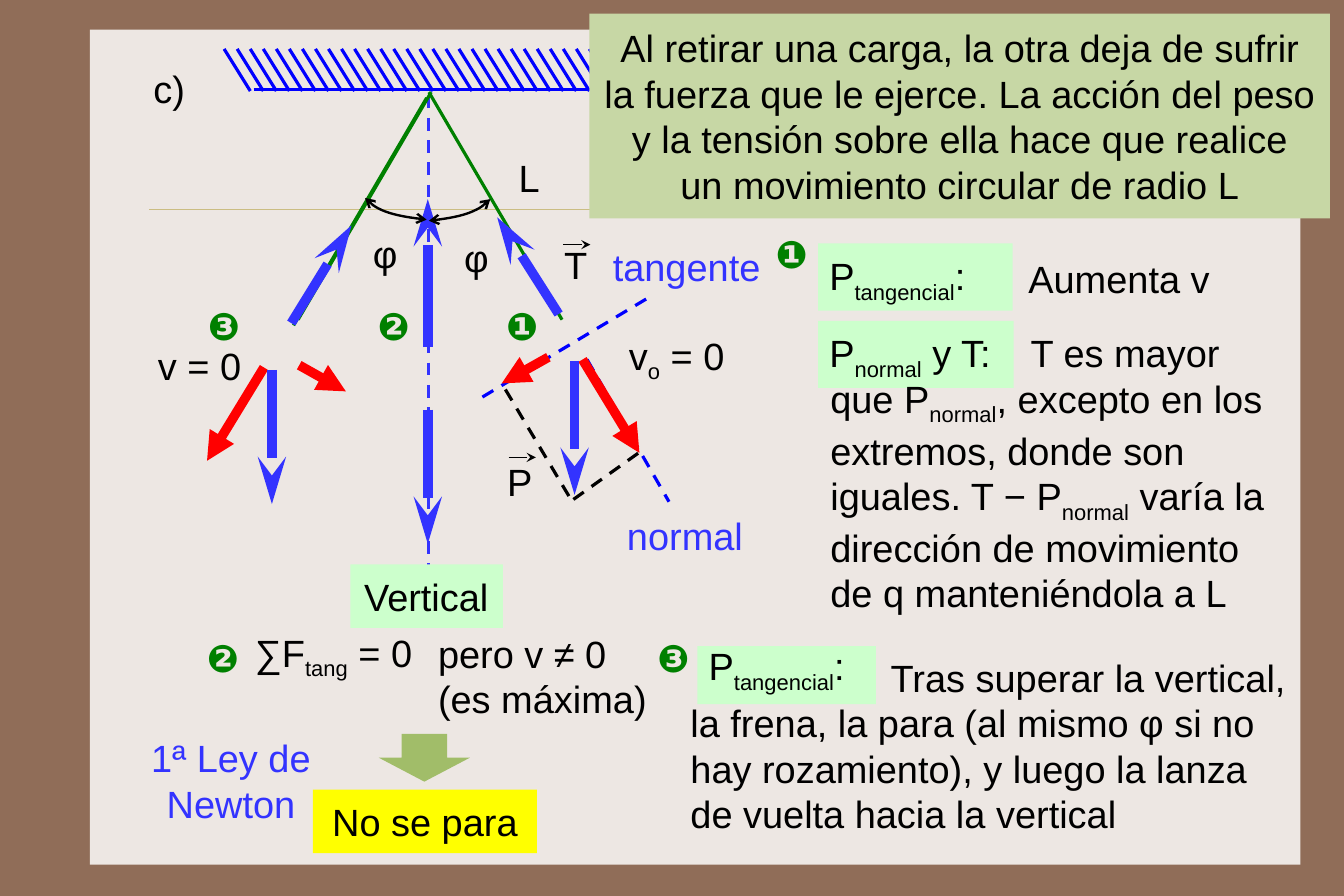
"""Build the slide on the motion of a charged pendulum."""
from dataclasses import dataclass, field
from typing import Any, Optional

from lxml.etree import SubElement
from pptx import Presentation
from pptx.dml.color import RGBColor
from pptx.enum.dml import MSO_LINE
from pptx.enum.shapes import MSO_CONNECTOR, MSO_SHAPE
from pptx.enum.text import MSO_ANCHOR, PP_ALIGN
from pptx.oxml.ns import qn
from pptx.util import Inches, Pt

Point = tuple[float, float]


@dataclass(frozen=True)
class Theme:
    background: str = "906D58"
    panel: str = "EDE7E3"
    rule: str = "CBBD83"
    ink: str = "000000"
    blue: str = "0000FF"
    vector: str = "3333FF"
    component: str = "FF0000"
    green: str = "008000"
    label: str = "CCFFCC"
    callout: str = "C7D7A5"
    highlight: str = "FFFF00"
    arrow: str = "A1BD69"
    font: str = "Arial"
    size: int = 24


THEME = Theme()


@dataclass(frozen=True)
class Segment:
    start: Point
    end: Point
    color: str
    width: float = 2
    dashed: bool = False
    head: Optional[str] = None
    head_length: str = "med"


@dataclass(frozen=True)
class Label:
    text: str
    left: float
    top: float
    width: float
    height: float = 0.5
    style: dict[str, Any] = field(default_factory=dict)


def force(start: Point, end: Point) -> Segment:
    """Describe a thick blue force vector."""
    return Segment(start, end, THEME.vector, 6, head="stealth", head_length="lg")


def component(start: Point, end: Point) -> Segment:
    """Describe a thick red component of the weight."""
    return Segment(start, end, THEME.component, 6, head="triangle")


def vector_mark(left: float, top: float) -> Segment:
    """Describe the small arrow over a vector's letter."""
    return Segment((left, top), (left + 0.24, top), THEME.ink, 1, head="stealth")


def number(text: str, left: float, top: float) -> Label:
    """Describe a green circled number."""
    return Label(text, left, top, 0.5, style={"color": THEME.green, "bold": True})


def add_segment(slide, segment: Segment) -> None:
    """Draw a straight line, dashed or with an arrowhead if asked."""
    ends = [Inches(value) for value in (*segment.start, *segment.end)]
    connector = slide.shapes.add_connector(MSO_CONNECTOR.STRAIGHT, *ends)
    connector.line.color.rgb = RGBColor.from_string(segment.color)
    connector.line.width = Pt(segment.width)
    if segment.dashed:
        connector.line.dash_style = MSO_LINE.DASH
    if segment.head:
        SubElement(connector.line._get_or_add_ln(), qn("a:tailEnd"),
                   type=segment.head, len=segment.head_length)
    SubElement(connector._element.spPr, qn("a:effectLst"))


def add_block(slide, preset: MSO_SHAPE, left: float, top: float, width: float,
              height: float, fill: str):
    """Draw a filled preset shape without outline or shadow."""
    shape = slide.shapes.add_shape(
        preset, Inches(left), Inches(top), Inches(width), Inches(height))
    shape.fill.solid()
    shape.fill.fore_color.rgb = RGBColor.from_string(fill)
    shape.line.fill.background()
    shape.shadow.inherit = False
    return shape


def add_text(slide, text: str, left: float, top: float, width: float, height: float, *,
             color: str = THEME.ink, bold: bool = False, fill: Optional[str] = None,
             align: PP_ALIGN = PP_ALIGN.LEFT, anchor: MSO_ANCHOR = MSO_ANCHOR.TOP,
             inset: Point = (0.1, 0.05), wrap: bool = False, indent: float = 0) -> None:
    """Write text in which every second part between bars is a subscript."""
    if fill:
        shape = add_block(slide, MSO_SHAPE.RECTANGLE, left, top, width, height, fill)
    else:
        shape = slide.shapes.add_textbox(
            Inches(left), Inches(top), Inches(width), Inches(height))
    frame = shape.text_frame
    frame.word_wrap = wrap
    frame.vertical_anchor = anchor
    frame.margin_left = frame.margin_right = Inches(inset[0])
    frame.margin_top = frame.margin_bottom = Inches(inset[1])
    for index, line in enumerate(text.split("\n")):
        paragraph = frame.add_paragraph() if index else frame.paragraphs[0]
        paragraph.alignment = align
        if indent:
            paragraph._p.get_or_add_pPr().set("indent", str(Inches(indent)))
        for position, part in enumerate(line.split("|")):
            run = paragraph.add_run()
            run.text = part
            run.font.name = THEME.font
            run.font.size = Pt(THEME.size)
            run.font.bold = bold
            run.font.color.rgb = RGBColor.from_string(color)
            if position % 2:
                run._r.get_or_add_rPr().set("baseline", "-25000")


def add_angle(slide, *controls: Point) -> None:
    """Draw a double-headed arc along a cubic curve with four control points."""
    points = []
    for t in (step / 16 for step in range(17)):
        weights = ((1 - t) ** 3, 3 * t * (1 - t) ** 2, 3 * t ** 2 * (1 - t), t ** 3)
        points.append(tuple(
            Inches(sum(weight * control[axis] for weight, control in zip(weights, controls)))
            for axis in (0, 1)))
    builder = slide.shapes.build_freeform(*points[0])
    builder.add_line_segments(points[1:], close=False)
    shape = builder.convert_to_shape()
    shape.fill.background()
    shape.shadow.inherit = False
    shape.line.color.rgb = RGBColor.from_string(THEME.ink)
    shape.line.width = Pt(1.5)
    for end in ("a:headEnd", "a:tailEnd"):
        SubElement(shape.line._get_or_add_ln(), qn(end), type="arrow")


HATCH_COUNT = 29
HATCH_STEP = 3.21 / (HATCH_COUNT - 1)
HATCHING = [Segment((1.97 + i * HATCH_STEP, 0.43), (2.2 + i * HATCH_STEP, 0.8), THEME.blue)
            for i in range(HATCH_COUNT)]
SEGMENTS = [
    Segment((1.31, 1.84), (11.22, 1.84), THEME.rule, 0.25),
    Segment((3.77, 0.84), (3.77, 5.17), THEME.vector, dashed=True),
    Segment((4.24, 3.49), (5.71, 2.61), THEME.blue, dashed=True),
    Segment((5.16, 3.16), (5.88, 4.41), THEME.blue, dashed=True),
    Segment((2.23, 0.79), (5.52, 0.79), THEME.blue), *HATCHING,
    Segment((3.77, 0.81), (4.94, 2.81), THEME.green),
    Segment((3.79, 0.81), (2.62, 2.81), THEME.green),
    Segment((3.75, 0.86), (2.58, 2.86), THEME.green),
    Segment((5.04, 4.39), (5.67, 3.94), THEME.ink, dashed=True),
    Segment((5, 4.36), (4.44, 3.42), THEME.ink, dashed=True),
    component((5.12, 3.16), (5.62, 3.98)), component((4.82, 3.14), (4.41, 3.37)),
    vector_mark(4.47, 4.02), force((5.05, 3.17), (5.05, 4.35)),
    force((4.91, 2.76), (4.37, 1.91)), vector_mark(4.95, 2.15),
    force((3.76, 3.6), (3.76, 4.78)), force((3.76, 3.05), (3.76, 1.75)),
    component((2.32, 3.23), (1.82, 4.05)), component((2.63, 3.21), (3.04, 3.44)),
    force((2.39, 3.25), (2.39, 4.43)), force((2.56, 2.84), (3.09, 1.98)),
]
MIDDLE = {"anchor": MSO_ANCHOR.MIDDLE, "inset": (0.12, 0.08)}
TAG = {"fill": THEME.label, "inset": (0.1, 0.08)}
NOTE = {"wrap": True, "indent": 1.76}
BLUE_NOTE = {"color": THEME.vector, "align": PP_ALIGN.CENTER, "wrap": True}
LABELS = [
    Label("c)", 1.25, 0.53, 0.48), Label("L", 4.46, 1.31, 0.96),
    Label("P", 4.36, 3.98, 0.42), Label("T", 4.86, 2.07, 0.4),
    Label("φ", 3.98, 2.01, 0.39), Label("φ", 3.18, 1.98, 0.39),
    Label("v|o| = 0", 5.43, 2.87, 1.1), Label("v = 0", 1.29, 2.96, 1),
    Label("Vertical", 3.08, 4.96, 1.34, 0.56, {**MIDDLE, "fill": THEME.label}),
    Label("Al retirar una carga, la otra deja de sufrir la fuerza que le ejerce. "
          "La acción del peso y la tensión sobre ella hace que realice\n"
          "un movimiento circular de radio L", 5.18, 0.12, 6.51, 1.8,
          {"fill": THEME.callout, "align": PP_ALIGN.CENTER, "wrap": True,
           "anchor": MSO_ANCHOR.MIDDLE, "inset": (0.1, 0.09)}),
    Label("P|tangencial|:", 7.19, 2.14, 1.71, 0.59, TAG),
    Label("Aumenta v", 8.94, 2.2, 1.88),
    Label("P|normal| y T:", 7.19, 2.82, 1.72, 0.59, TAG),
    Label("T es mayor que P|normal|, excepto en los extremos, donde son iguales. "
          "T − P|normal| varía la dirección de movimiento de q manteniéndola a L",
          7.2, 2.85, 4.16, 2.53, NOTE),
    Label("tangente", 5.28, 2.09, 1.51, style=BLUE_NOTE),
    Label("normal", 5.38, 4.46, 1.28, style=BLUE_NOTE),
    Label("1ª Ley de Newton", 1.16, 6.41, 1.74, 0.91, BLUE_NOTE),
    Label("P|tangencial|:", 6.13, 5.6, 1.81),
    Label("Tras superar la vertical, la frena, la para (al mismo φ si no hay rozamiento), "
          "y luego la lanza de vuelta hacia la vertical", 5.97, 5.7, 5.48, 1.72, NOTE),
    number("❶", 4.35, 2.61), number("❷", 3.22, 2.61), number("❸", 1.73, 2.61),
    number("❶", 6.72, 1.98), number("❷", 1.72, 5.53), number("❸", 5.68, 5.53),
    Label("∑F|tang| = 0", 2.12, 5.48, 1.72, 0.56, MIDDLE),
    Label("pero v ≠ 0\n(es máxima)", 3.73, 5.46, 2.11, 1, {"inset": (0.12, 0.08)}),
    Label("No se para", 2.75, 6.94, 1.97, 0.56,
          {**MIDDLE, "fill": THEME.highlight, "align": PP_ALIGN.CENTER}),
]


def main() -> None:
    """Build and save the presentation."""
    presentation = Presentation()
    presentation.slide_width, presentation.slide_height = Inches(189 / 16), Inches(63 / 8)
    slide = presentation.slides.add_slide(presentation.slide_layouts[6])
    slide.background.fill.solid()
    slide.background.fill.fore_color.rgb = RGBColor.from_string(THEME.background)
    add_block(slide, MSO_SHAPE.RECTANGLE, 0.79, 0.26, 10.64, 7.34, THEME.panel)
    for segment in SEGMENTS:
        add_segment(slide, segment)
    add_angle(slide, (4.31, 1.75), (4.2, 1.87), (4.04, 1.91), (3.77, 1.94))
    add_angle(slide, (3.21, 1.74), (3.31, 1.86), (3.48, 1.9), (3.75, 1.93))
    add_block(slide, MSO_SHAPE.RECTANGLE, 6.13, 5.68, 1.57, 0.51, THEME.label)
    add_block(slide, MSO_SHAPE.DOWN_ARROW, 3.33, 6.45, 0.8, 0.42, THEME.arrow)
    for label in LABELS:
        add_text(slide, label.text, label.left, label.top, label.width, label.height,
                 **label.style)
    presentation.save("out.pptx")


if __name__ == "__main__":
    main()
